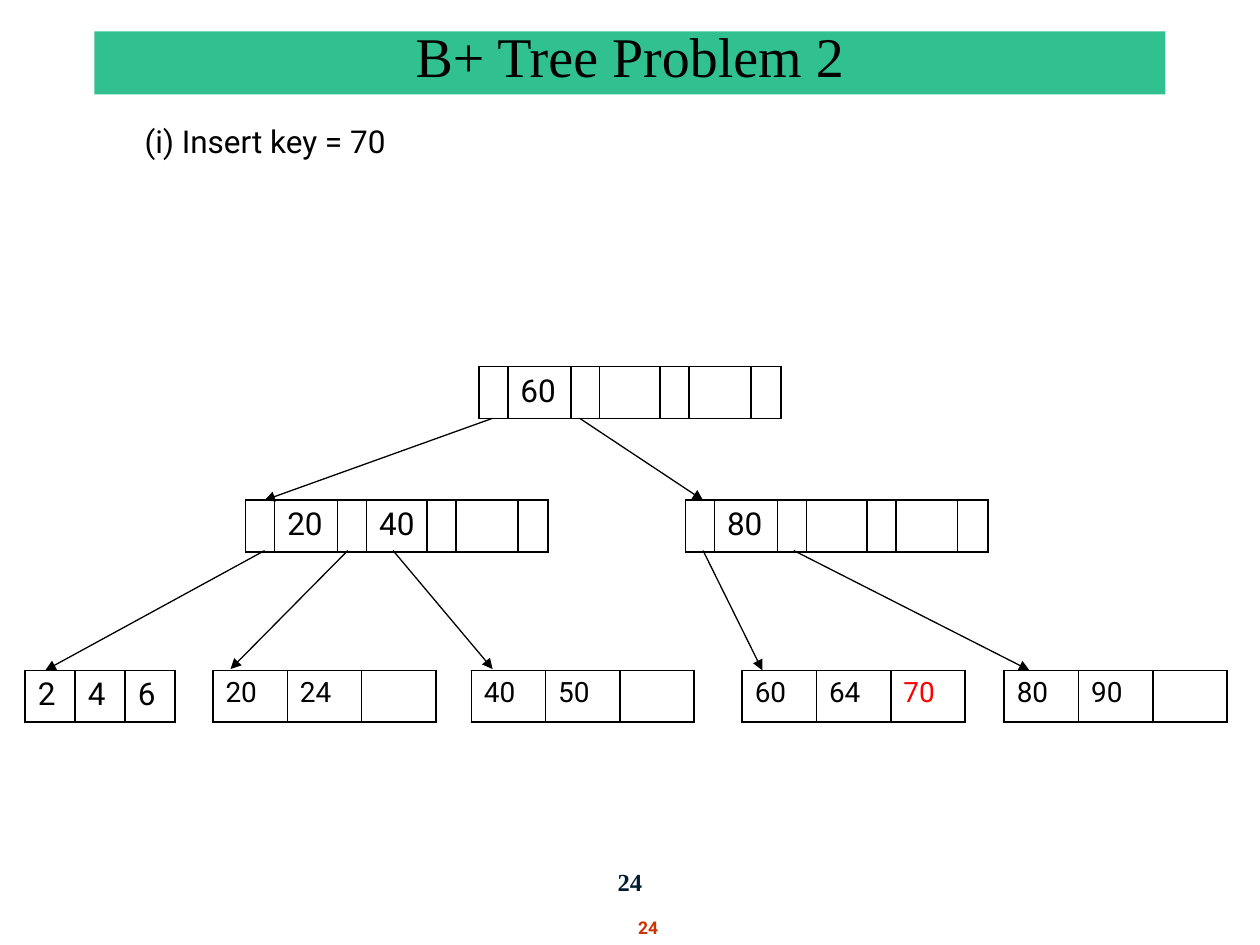
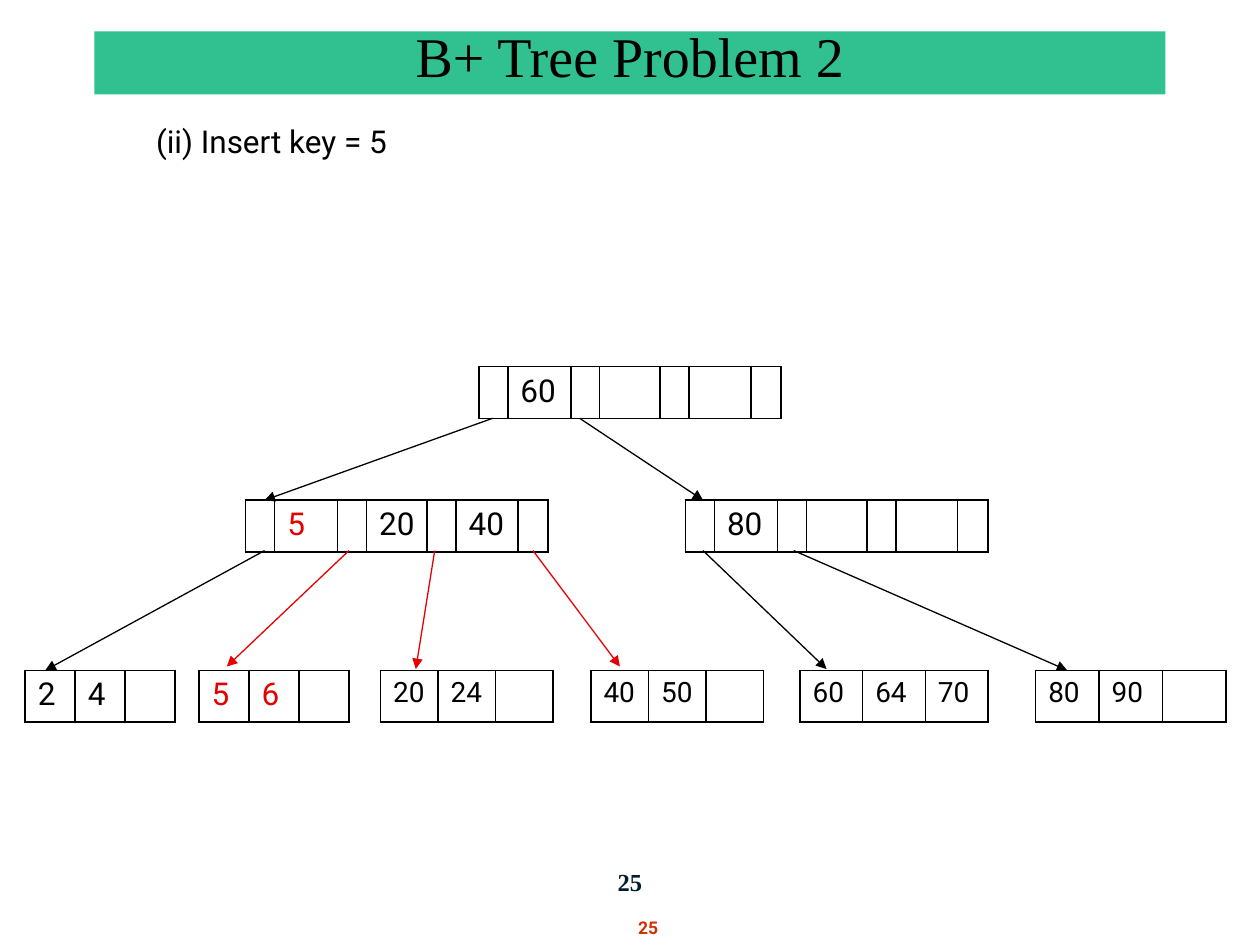
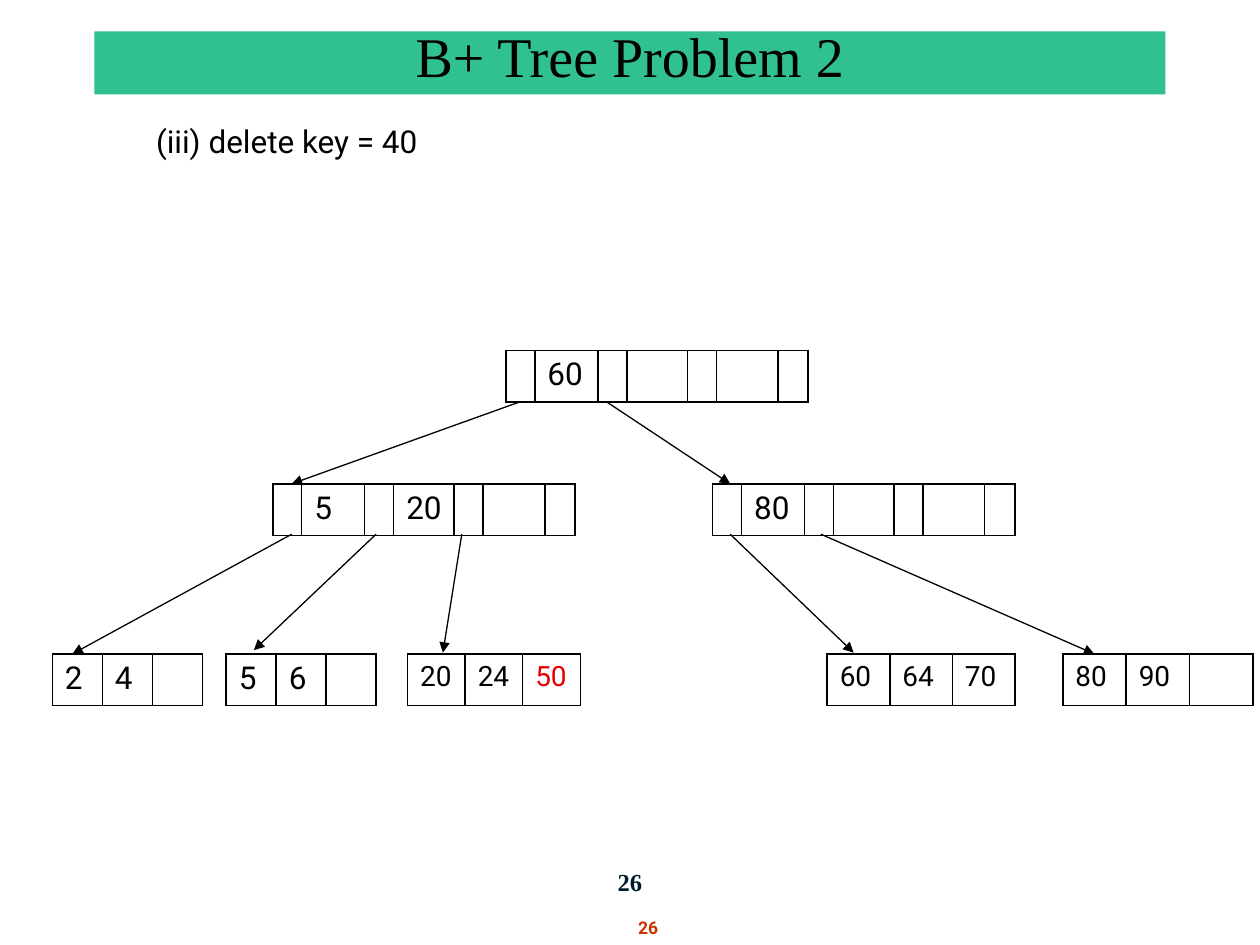
from lxml import etree
from pptx import Presentation
from pptx.dml.color import RGBColor
from pptx.enum.shapes import MSO_CONNECTOR, MSO_SHAPE
from pptx.enum.text import MSO_ANCHOR, PP_ALIGN
from pptx.oxml.ns import qn
from pptx.util import Inches, Pt

STRAIGHT, RECT = MSO_CONNECTOR.STRAIGHT, MSO_SHAPE.RECTANGLE
BOTTOM, LEFT, CENTER = MSO_ANCHOR.BOTTOM, PP_ALIGN.LEFT, PP_ALIGN.CENTER

BLACK = RGBColor(0x00, 0x00, 0x00)
WHITE = RGBColor(0xFF, 0xFF, 0xFF)
GREEN = RGBColor(0x31, 0xC1, 0x91)
NAVY = RGBColor(0x00, 0x1D, 0x2E)
RUST = RGBColor(0xCC, 0x33, 0x00)
BRIGHT_RED = RGBColor(0xFF, 0x00, 0x00)
KEY_RED = RGBColor(0xE5, 0x00, 0x00)
EDGE_RED = RGBColor(0xE6, 0x00, 0x00)
SANS, SERIF = "Roboto", "Times New Roman"

prs = Presentation()
prs.slide_width, prs.slide_height = Inches(10), Inches(7.5)
U = prs.slide_width // 100  # the grid: 100 columns by 75 rows

ROOT_Y, INNER_Y, LEAF_Y, NODE_H = 29.1, 39.7, 53.2, 4.1
INNER_COLS = [2.3, 5, 2.3, 4.8, 2.3, 4.9, 2.4]


def write(tf, text, size, color=BLACK, font=SANS, align=LEFT, bold=False):
    """Put one styled paragraph into a text frame."""
    p = tf.paragraphs[0]
    p.text, p.alignment = text, align
    p.font.size, p.font.name, p.font.bold = Pt(size), font, bold
    p.font.color.rgb = color


def add_node(shapes, x, y, cols, keys, size, red_keys, red):
    """Draw a tree node as a one-row table; a key of None leaves its cell empty."""
    frame = shapes.add_table(1, len(cols), int(x * U), int(y * U),
                             int(sum(cols) * U), int(NODE_H * U))
    table = frame.table
    table.first_row = table.horz_banding = False
    for i, (width, key) in enumerate(zip(cols, keys)):
        table.columns[i].width = int(width * U)
        cell = table.cell(0, i)
        cell.margin_right = 0  # keeps two-digit keys on one line
        tcPr = cell._tc.get_or_add_tcPr()
        for side in ("a:lnL", "a:lnR", "a:lnT", "a:lnB"):
            ln = etree.SubElement(tcPr, qn(side), w=str(Pt(1)))
            fill = etree.SubElement(ln, qn("a:solidFill"))
            etree.SubElement(fill, qn("a:srgbClr"), val=str(BLACK))
        cell.fill.solid()
        cell.fill.fore_color.rgb = WHITE
        write(cell.text_frame, "" if key is None else str(key), size,
              red if key in red_keys else BLACK)


# Leaves: left, column width, keys. Edges: start x, end x, end y, colour.
slides = [
    dict(task="(i) Insert key = 70", task_x=10.5, shift=(0, 0),
         inner=[20, 40, None], red_keys={70}, red=BRIGHT_RED,
         leaves=[(2, 3.97, [2, 4, 6]), (16.9, 5.9, [20, 24, None]),
                 (37.4, 5.9, [40, 50, None]), (58.9, 5.9, [60, 64, 70]),
                 (79.7, 5.9, [80, 90, None])],
         edges=[(27.6, 18.3, 53.1, BLACK), (31.2, 39.1, 53.1, BLACK),
                (55.8, 60.5, 53.2, BLACK), (63, 81.7, 53.2, BLACK)]),
    dict(task="(ii) Insert key = 5", task_x=11.4, shift=(0, 0),
         inner=[5, 20, 40], red_keys={5, 6}, red=KEY_RED,
         leaves=[(2, 3.97, [2, 4, None]), (15.8, 3.97, [5, 6, None]),
                 (30.2, 4.57, [20, 24, None]), (46.9, 4.57, [40, 50, None]),
                 (63.5, 4.97, [60, 64, 70]), (82.2, 5.03, [80, 90, None])],
         edges=[(27.7, 18, 52.9, EDGE_RED), (34.5, 33, 53.1, EDGE_RED),
                (42.3, 49.2, 52.9, EDGE_RED),
                (55.8, 65.6, 53.1, BLACK), (63, 84.7, 53.2, BLACK)]),
    dict(task="(iii) delete key = 40", task_x=11.4, shift=(2.15, -1.3),
         inner=[5, 20, None], red_keys={50}, red=KEY_RED,
         leaves=[(2, 3.97, [2, 4, None]), (15.8, 3.97, [5, 6, None]),
                 (30.2, 4.57, [20, 24, 50]),
                 (63.5, 4.97, [60, 64, 70]), (82.2, 5.03, [80, 90, None])],
         edges=[(27.7, 18, 52.9, BLACK), (34.5, 33, 53.1, BLACK),
                (55.8, 65.6, 53.1, BLACK), (63, 84.7, 53.2, BLACK)]),
]

for number, tree in enumerate(slides, start=24):
    shapes = prs.slides.add_slide(prs.slide_layouts[6]).shapes
    dx, dy = tree["shift"]
    marks = tree["red_keys"], tree["red"]

    # Title band, task and the two page numbers
    band = shapes.add_shape(RECT, int(7.5 * U), int(2.5 * U), 85 * U, 5 * U)
    band.shadow.inherit = False
    band.fill.solid()
    band.fill.fore_color.rgb = GREEN
    band.line.fill.background()
    band.text_frame.word_wrap = True
    band.text_frame.vertical_anchor = BOTTOM
    write(band.text_frame, "B+ Tree Problem 2", 32, font=SERIF, align=CENTER)
    for x, y, w, h, wrap, text, style in (
            (tree["task_x"], 9.2, 77, 57.2, True, tree["task"], dict(size=18)),
            (5, 68.3, 90, 5, True, str(number),
             dict(size=14, color=NAVY, font=SERIF, align=CENTER, bold=True)),
            (49.6, 72.3, 3.7, 2.7, False, str(number),
             dict(size=10, color=RUST, align=CENTER, bold=True))):
        sp = shapes.add_textbox(int(x * U), int(y * U), int(w * U), int(h * U))
        sp.text_frame.word_wrap = wrap
        write(sp.text_frame, text, **style)

    # Root and inner nodes: pointer cells alternate with key cells
    for x, y, keys in ((38, ROOT_Y, [60, None, None]),
                       (19.5, INNER_Y, tree["inner"]),
                       (54.4, INNER_Y, [80, None, None])):
        cells = [None] * len(INNER_COLS)
        cells[1::2] = keys
        add_node(shapes, x + dx, y + dy, INNER_COLS, cells, 18, *marks)

    for x, width, keys in tree["leaves"]:
        size = 18 if keys[0] < 10 else 16
        add_node(shapes, x + dx, LEAF_Y + dy, [width] * 3, keys, size, *marks)

    edges = [(39.1, 33.2, 21, INNER_Y, BLACK), (46, 33.2, 55.8, INNER_Y, BLACK),
             (21, 43.7, 3.6, LEAF_Y, BLACK)]
    edges += [(x1, 43.7, x2, y2, color) for x1, x2, y2, color in tree["edges"]]
    for x1, y1, x2, y2, color in edges:
        edge = shapes.add_connector(STRAIGHT, int((x1 + dx) * U), int((y1 + dy) * U),
                                    int((x2 + dx) * U), int((y2 + dy) * U))
        edge.line.color.rgb, edge.line.width = color, Pt(0.75)
        etree.SubElement(edge.line._get_or_add_ln(), qn("a:tailEnd"), type="triangle")
        etree.SubElement(edge._element.spPr, qn("a:effectLst"))

prs.save("out.pptx")
